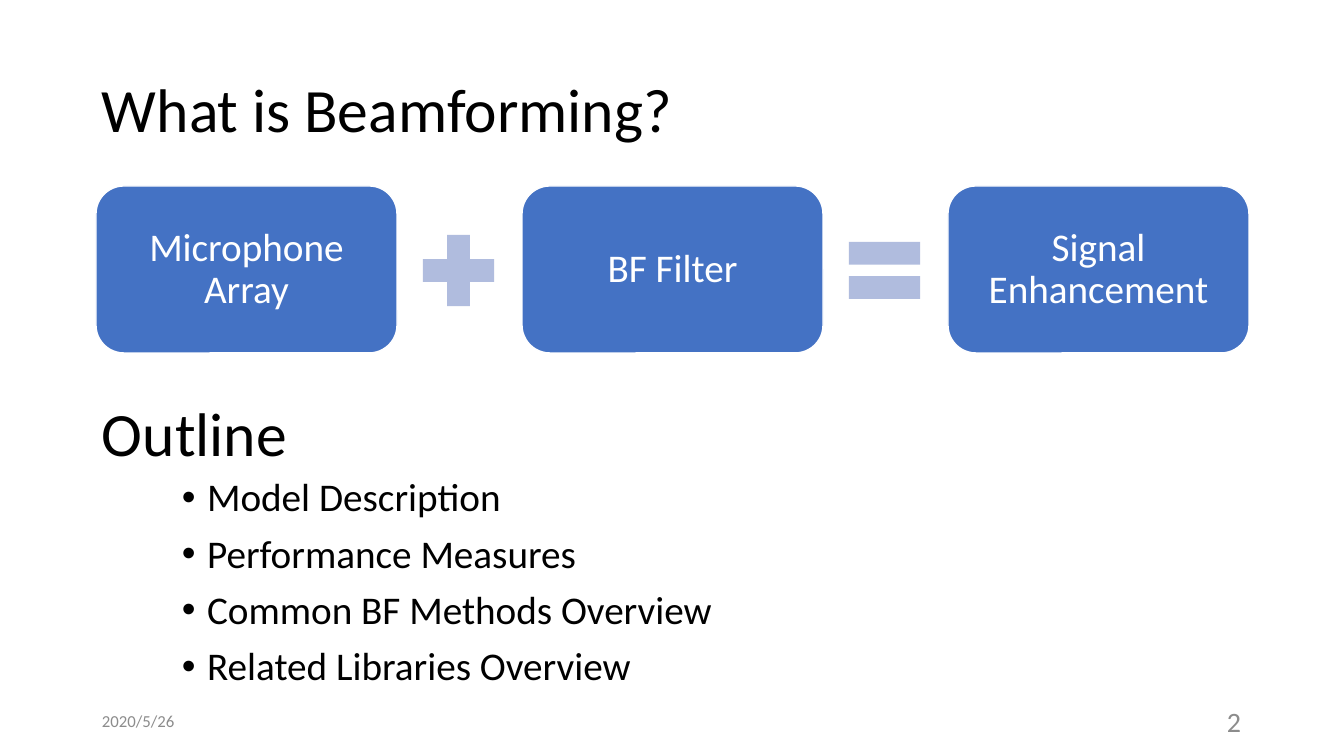
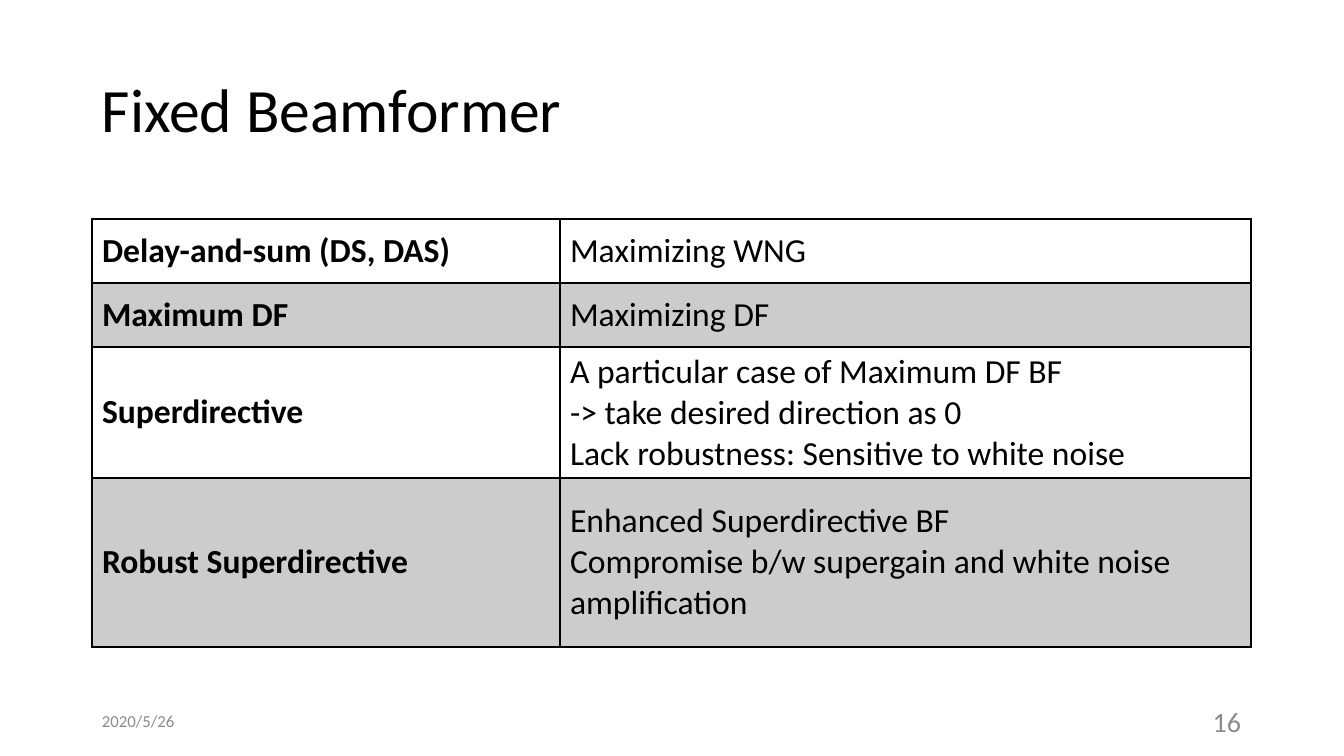
"""Two slides on beamforming: an introduction with outline, and a method table."""
from dataclasses import dataclass
from typing import Any

from lxml import etree
from pptx import Presentation
from pptx import util as u
from pptx.dml.color import RGBColor
from pptx.enum import shapes, text
from pptx.oxml import ns

PX = 914400 / 100.8
FONT = "Calibri"
BLACK = RGBColor(0x00, 0x00, 0x00)
WHITE = RGBColor(0xFF, 0xFF, 0xFF)
BLUE = RGBColor(0x44, 0x72, 0xC4)
PALE_BLUE = RGBColor(0xB0, 0xBC, 0xDE)
GRAY = RGBColor(0x8C, 0x8C, 0x8C)
BAND_GRAY = RGBColor(0xCC, 0xCC, 0xCC)
LEFT, CONTENT_WIDTH = 92, 1159
MIDDLE = text.MSO_ANCHOR.MIDDLE


@dataclass(frozen=True)
class Box:
    """A rectangle in whole pixels."""
    left: int
    top: int
    width: int
    height: int

    def emu(self) -> list[u.Emu]:
        """Return left, top, width and height in EMU."""
        return [emu(v) for v in (self.left, self.top, self.width, self.height)]


@dataclass(frozen=True)
class TextStyle:
    """Character and paragraph format of one kind of text."""
    size: int
    color: RGBColor = BLACK
    bold: bool = False
    align: text.PP_ALIGN = text.PP_ALIGN.LEFT
    line_spacing: float = 1.0
    space_before: int = 0
    bulleted: bool = False


@dataclass(frozen=True)
class Method:
    """One table row: a beamformer, what it does, and its row height."""
    name: str
    traits: str
    height: int


HEADING = TextStyle(44, line_spacing=0.9)
TERM = TextStyle(28, WHITE, align=text.PP_ALIGN.CENTER, line_spacing=0.9)
TOPIC = TextStyle(28, line_spacing=0.9, space_before=10, bulleted=True)
DATE = TextStyle(12, GRAY)
PAGE = TextStyle(20, GRAY, align=text.PP_ALIGN.RIGHT)
METHOD_NAME = TextStyle(24, bold=True)
METHOD_TRAITS = TextStyle(24)

EQUATION = Box(96, 186, 301, 167)
TERM_STEP = 426
OPERATOR_OFFSET, OPERATOR_SIZE = 314, 97
TERMS = ["Microphone Array", "BF Filter", "Signal Enhancement"]
OPERATORS = [shapes.MSO_SHAPE.MATH_PLUS, shapes.MSO_SHAPE.MATH_EQUAL]
TOPICS = ["Model Description", "Performance Measures",
          "Common BF Methods Overview", "Related Libraries Overview"]
METHODS = [
    Method("Delay-and-sum (DS, DAS)", "Maximizing WNG", 64),
    Method("Maximum DF", "Maximizing DF", 64),
    Method("Superdirective",
           "A particular case of Maximum DF BF\n-> take desired direction as 0\n"
           "Lack robustness: Sensitive to white noise", 117),
    Method("Robust Superdirective",
           "Enhanced Superdirective BF\n"
           "Compromise b/w supergain and white noise amplification", 169),
]
METHOD_COLUMNS = [468, 691]


def emu(pixels: int) -> u.Emu:
    """Turn pixels into EMU."""
    return u.Emu(round(pixels * PX))


def apply(target: Any, values: dict[str, Any]) -> None:
    """Set each named format value on the target."""
    for name, value in values.items():
        setattr(target, name, value)


def add_bullet(paragraph: Any) -> None:
    """Give a paragraph a round bullet with a hanging indent."""
    props = paragraph._p.get_or_add_pPr()
    props.set("marL", str(u.Inches(0.25)))
    props.set("indent", str(-u.Inches(0.25)))
    etree.SubElement(props, ns.qn("a:buFont"), typeface="Arial")
    etree.SubElement(props, ns.qn("a:buChar"), char="•")


def write(frame: Any, content: str, style: TextStyle) -> None:
    """Fill a text frame, one paragraph a line, in the given style."""
    frame.text = content
    for paragraph in frame.paragraphs:
        apply(paragraph, {"alignment": style.align,
                          "line_spacing": style.line_spacing,
                          "space_before": u.Pt(style.space_before)})
        if style.bulleted:
            add_bullet(paragraph)
        for run in paragraph.runs:
            apply(run.font, {"name": FONT, "size": u.Pt(style.size),
                             "bold": style.bold})
            run.font.color.rgb = style.color


def add_label(slide: Any, box: Box, content: str, style: TextStyle,
              anchor: text.MSO_ANCHOR = MIDDLE) -> None:
    """Add a wrapped text box."""
    frame = slide.shapes.add_textbox(*box.emu()).text_frame
    apply(frame, {"word_wrap": True, "vertical_anchor": anchor})
    write(frame, content, style)


def add_solid(slide: Any, kind: shapes.MSO_SHAPE, box: Box, color: RGBColor) -> Any:
    """Add a flat filled shape without outline."""
    shape = slide.shapes.add_shape(kind, *box.emu())
    shape.shadow.inherit = False
    shape.fill.solid()
    shape.fill.fore_color.rgb = color
    shape.line.fill.background()
    return shape


def add_term(slide: Any, box: Box, content: str) -> None:
    """Add one rounded term of the equation."""
    term = add_solid(slide, shapes.MSO_SHAPE.ROUNDED_RECTANGLE, box, BLUE)
    term.line.color.rgb = WHITE
    term.line.width = u.Pt(1)
    margins = {f"margin_{side}": emu(4) for side in ("left", "top", "right", "bottom")}
    apply(term.text_frame, {"word_wrap": True, "vertical_anchor": MIDDLE, **margins})
    write(term.text_frame, content, TERM)


def add_equation(slide: Any) -> None:
    """Lay out the terms evenly, with an operator in each gap."""
    operator_top = EQUATION.top + (EQUATION.height - OPERATOR_SIZE) // 2 + 1
    for i, term in enumerate(TERMS):
        left = EQUATION.left + i * TERM_STEP
        add_term(slide, Box(left, EQUATION.top, EQUATION.width, EQUATION.height), term)
        if i < len(OPERATORS):
            add_solid(slide, OPERATORS[i],
                      Box(left + OPERATOR_OFFSET, operator_top,
                          OPERATOR_SIZE, OPERATOR_SIZE), PALE_BLUE)


def add_borders(cell: Any) -> None:
    """Draw thin black lines on the four sides of a cell."""
    props = cell._tc.get_or_add_tcPr()
    for i, side in enumerate(("lnL", "lnR", "lnT", "lnB")):
        line = etree.Element(ns.qn(f"a:{side}"), w=str(u.Pt(1)))
        fill = etree.SubElement(line, ns.qn("a:solidFill"))
        etree.SubElement(fill, ns.qn("a:srgbClr"), val=str(BLACK))
        props.insert(i, line)


def add_methods(slide: Any) -> None:
    """Add the method table, every second row shaded."""
    box = Box(LEFT, 219, CONTENT_WIDTH, sum(m.height for m in METHODS))
    table = slide.shapes.add_table(
        len(METHODS), len(METHOD_COLUMNS), *box.emu()).table
    apply(table, {"first_row": False, "horz_banding": False})
    for column, width in zip(table.columns, METHOD_COLUMNS):
        column.width = emu(width)
    for i, (row, method) in enumerate(zip(table.rows, METHODS)):
        row.height = emu(method.height)
        entries = [(method.name, METHOD_NAME), (method.traits, METHOD_TRAITS)]
        for cell, (content, style) in zip(row.cells, entries):
            cell.vertical_anchor = MIDDLE
            write(cell.text_frame, content, style)
            if i % 2:
                cell.fill.solid()
                cell.fill.fore_color.rgb = BAND_GRAY
            else:
                cell.fill.background()
            add_borders(cell)


def add_page(deck: Any, title: str, number: int) -> Any:
    """Add a slide with its title, date and page number."""
    slide = deck.slides.add_slide(deck.slide_layouts[6])
    add_label(slide, Box(LEFT, 40, CONTENT_WIDTH, 146), title, HEADING)
    add_label(slide, Box(LEFT, 701, 302, 40), "2020/5/26", DATE)
    add_label(slide, Box(949, 701, 302, 40), str(number), PAGE)
    return slide


def main() -> None:
    """Build and save the deck."""
    deck = Presentation()
    apply(deck, {"slide_width": emu(1344), "slide_height": emu(756)})

    introduction = add_page(deck, "What is Beamforming?", 2)
    add_equation(introduction)
    add_label(introduction, Box(LEFT, 381, CONTENT_WIDTH, 111), "Outline", HEADING)
    add_label(introduction, Box(172, 473, 603, 262), "\n".join(TOPICS), TOPIC,
              text.MSO_ANCHOR.TOP)

    add_methods(add_page(deck, "Fixed Beamformer", 16))
    deck.save("out.pptx")


main()
